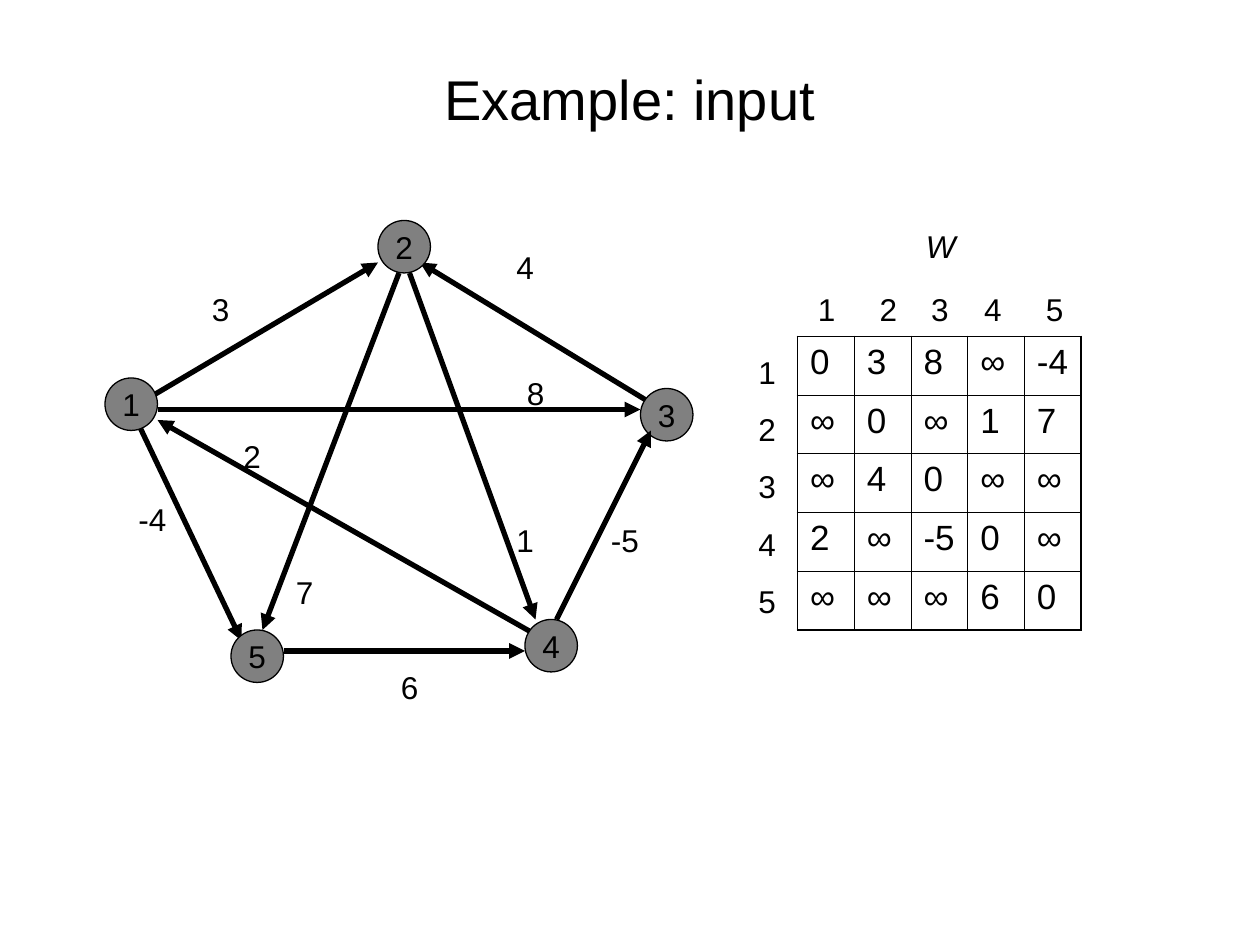
from lxml import etree
from pptx import Presentation
from pptx import util as u
from pptx.dml.color import RGBColor
from pptx.enum import shapes, text
from pptx.oxml.ns import qn

COLORS = {"ink": "000000", "node": "808080"}
LABEL = {"size": u.Pt(18)}
LABEL_GAP = {"space_before": u.Pt(11.2)}
GRID = 1 / 12  # the graph is laid out on a grid of twelfths of an inch

NODES = {"2": (26, 0), "1": (0, 15), "5": (12, 39), "3": (51, 16), "4": (40, 38)}
NODE_SIZE = 5
# Edges as start x, start y, end x, end y
EDGES_BELOW = [(3, 19, 13, 40), (53, 18, 30, 4), (42, 40, 5, 19), (4, 17, 26, 4)]
EDGES_ABOVE = [(17, 41, 40, 41), (43, 38, 52, 20), (28, 5, 15, 39),
               (29, 5, 41, 38), (5, 18, 51, 18)]
# Weights as text, x, y, width
WEIGHTS = [("3", 9, 6, 5), ("4", 38, 2, 7), ("8", 39, 14, 5), ("-4", 2, 26, 7),
           ("6", 27, 42, 8), ("2", 12, 20, 4), ("1", 38, 28, 3),
           ("-5", 47, 28, 6), ("7", 17, 33, 4)]
MATRIX = [["0", "3", "8", "∞", "-4"],
          ["∞", "0", "∞", "1", "7"],
          ["∞", "4", "0", "∞", "∞"],
          ["2", "∞", "-5", "0", "∞"],
          ["∞", "∞", "∞", "6", "0"]]


def color(name):
    return RGBColor.from_string(COLORS[name])


def set_all(target, values):
    for name, value in values.items():
        setattr(target, name, value)


def write(frame, lines, font, para_format):
    for index, line in enumerate(lines):
        para = frame.add_paragraph() if index else frame.paragraphs[0]
        set_all(para, para_format)
        span = para.add_run()
        span.text = line
        set_all(span.font, {"name": "Arial", **font})
        span.font.color.rgb = color("ink")


def add_label(parts, box, lines, font=LABEL, para_format=LABEL_GAP, **frame_format):
    label = parts.add_textbox(*map(u.Inches, box))
    set_all(label.text_frame, {"word_wrap": True,
                               "auto_size": text.MSO_AUTO_SIZE.SHAPE_TO_FIT_TEXT,
                               **frame_format})
    write(label.text_frame, lines, font, para_format)
    return label


def add_title(page, box):
    add_label(page.shapes, box, ["Example: input"], {"size": u.Pt(32)},
              {"alignment": text.PP_ALIGN.CENTER},
              auto_size=text.MSO_AUTO_SIZE.NONE,
              vertical_anchor=text.MSO_ANCHOR.MIDDLE)


def add_edge(parts, ends):
    edge = parts.add_connector(shapes.MSO_CONNECTOR.STRAIGHT, *map(u.Inches, ends))
    edge.line.width = u.Pt(3)
    edge.line.color.rgb = color("ink")
    etree.SubElement(edge.line._get_or_add_ln(), qn("a:tailEnd"), type="triangle")
    etree.SubElement(edge._element.spPr, qn("a:effectLst"))


def add_node(parts, name, box):
    node = parts.add_shape(shapes.MSO_SHAPE.OVAL, *map(u.Inches, box))
    node.shadow.inherit = False
    node.fill.solid()
    node.fill.fore_color.rgb = color("node")
    node.line.color.rgb = color("ink")
    node.line.width = u.Pt(0.75)
    set_all(node.text_frame, {"word_wrap": False,
                              "vertical_anchor": text.MSO_ANCHOR.MIDDLE,
                              "margin_left": u.Inches(0.05),
                              "margin_right": u.Inches(0.05)})
    write(node.text_frame, [name], LABEL, {"alignment": text.PP_ALIGN.CENTER})


def add_graph(page, left, top):
    parts = page.shapes.add_group_shape().shapes

    def place(x, y):
        return left + x * GRID, top + y * GRID

    def add_edges(edges):
        for x1, y1, x2, y2 in edges:
            add_edge(parts, place(x1, y1) + place(x2, y2))

    add_edges(EDGES_BELOW)
    for name, spot in NODES.items():
        add_node(parts, name, (*place(*spot), NODE_SIZE * GRID, NODE_SIZE * GRID))
    add_edges(EDGES_ABOVE)
    for weight, x, y, width in WEIGHTS:
        add_label(parts, (*place(x, y), width * GRID, 0.4), [weight])


def set_borders(cell, outer_sides):
    properties = cell._tc.get_or_add_tcPr()
    for side in "LRTB":
        width = u.Pt(1.08 if side in outer_sides else 0.45)
        line = etree.SubElement(properties, qn(f"a:ln{side}"), w=str(width))
        fill = etree.SubElement(line, qn("a:solidFill"))
        etree.SubElement(fill, qn("a:srgbClr"), val=COLORS["ink"])


def add_matrix(page, left, top, width, height):
    count = len(MATRIX)
    table = page.shapes.add_table(
        count, count, *map(u.Inches, (left, top, width, height))).table
    set_all(table, {"first_row": False, "horz_banding": False})
    for column in table.columns:
        column.width = u.Inches(width / count)
    for row, values in enumerate(MATRIX):
        table.rows[row].height = u.Inches(height / count)
        for col, value in enumerate(values):
            cell = table.cell(row, col)
            edges = {"L": col == 0, "R": col == count - 1,
                     "T": row == 0, "B": row == count - 1}
            set_borders(cell, [side for side, outer in edges.items() if outer])
            cell.fill.background()
            write(cell.text_frame, [value], {"size": u.Pt(20)},
                  {"space_before": u.Pt(5)})

    # Column numbers on tab stops
    heads = add_label(page.shapes, (left - 0.08, top - 0.42, 3.25, 0.4),
                      ["1\t2\t3\t4\t5"], margin_left=u.Inches(0.24))
    properties = heads.text_frame.paragraphs[0]._p.get_or_add_pPr()
    stops = etree.SubElement(properties, qn("a:tabLst"))
    for stop in (0.49, 0.9, 1.32, 1.81):
        etree.SubElement(stops, qn("a:tab"), pos=str(u.Inches(stop)), algn="l")

    # Row numbers and matrix name
    add_label(page.shapes, (left - 0.41, top + 0.08, 0.58, 2.23), list("12345"))
    add_label(page.shapes, (left + 0.92, top - 0.92, 0.75, 0.4), ["W"],
              {**LABEL, "italic": True})


def main():
    deck = Presentation()
    set_all(deck, {"slide_width": u.Inches(10), "slide_height": u.Inches(7.5)})
    page = deck.slides.add_slide(deck.slide_layouts[6])
    add_title(page, (0.5, 0.3, 9, 0.95))
    add_graph(page, 10 * GRID, 21 * GRID)
    add_matrix(page, 6.33, 2.67, 2.25, 2.33)
    deck.save("out.pptx")


if __name__ == "__main__":
    main()
